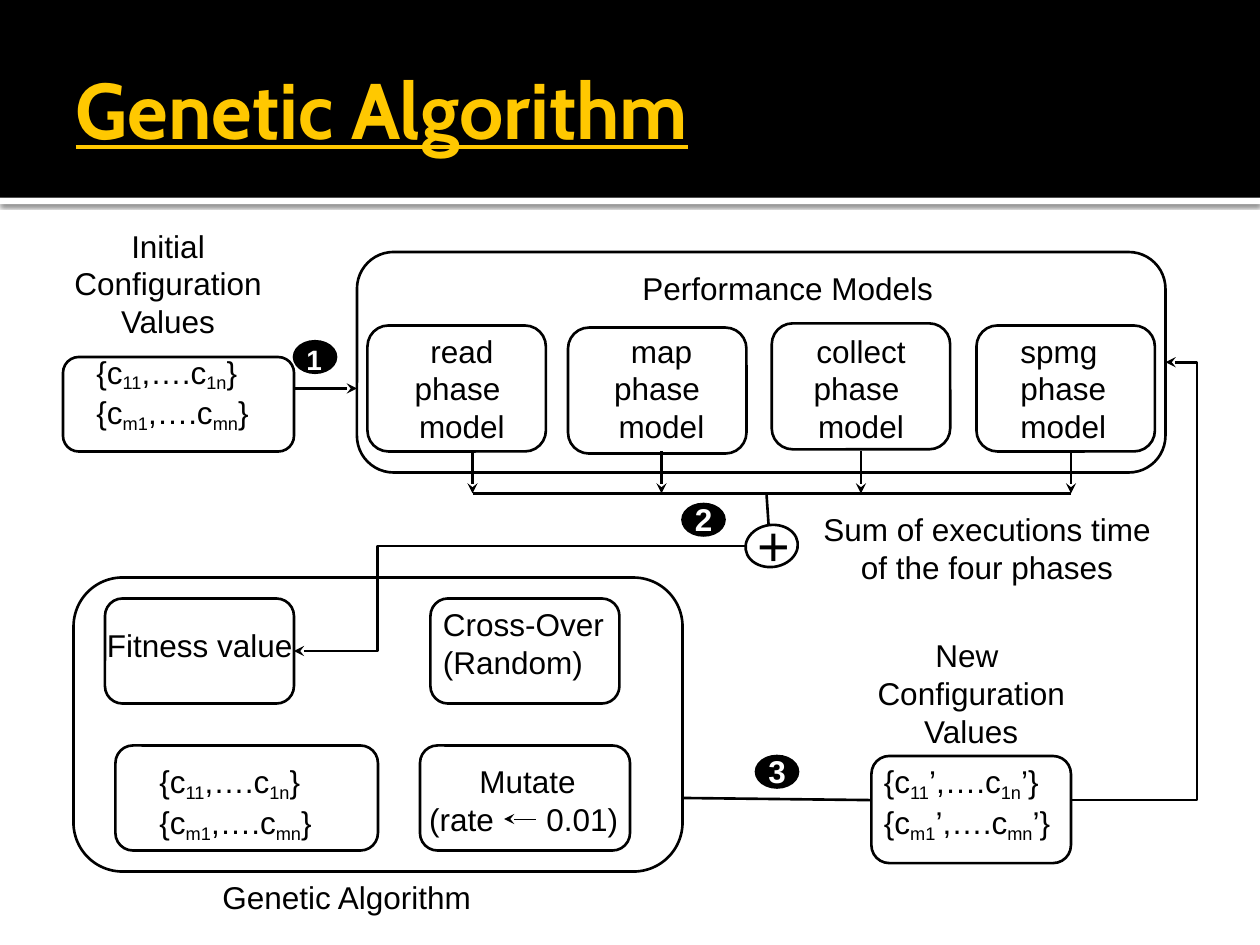
from dataclasses import dataclass

import lxml.etree
import pptx
import pptx.dml.color
import pptx.enum.shapes
import pptx.enum.text
import pptx.oxml
import pptx.oxml.ns
import pptx.util

COLUMNS, ROWS = 120, 90
BLACK, WHITE, GOLD = "000000", "FFFFFF", "FFC800"
SHAPES = pptx.enum.shapes.MSO_SHAPE
CONNECTORS = pptx.enum.shapes.MSO_CONNECTOR
ALIGN = pptx.enum.text.PP_ALIGN
qn = pptx.oxml.ns.qn

deck = pptx.Presentation()
deck.slide_width = pptx.util.Inches(10)
deck.slide_height = pptx.util.Inches(7.5)
slide = deck.slides.add_slide(deck.slide_layouts[5])


@dataclass
class Box:
    """A filled shape, placed in grid columns and rows."""
    col: float
    row: float
    width: float
    height: float
    kind: int = SHAPES.ROUNDED_RECTANGLE
    fill: str = WHITE
    border: str | None = BLACK
    rotation: float = 0


@dataclass
class Label:
    """Text whose paragraphs hold subscripts between bars."""
    col: float
    row: float
    width: float
    height: float
    paragraphs: list[str]
    align: int = ALIGN.LEFT
    size: float = 18
    color: str = BLACK
    bold: bool = False


@dataclass
class Link:
    """A line; bend is the share of its width at which an elbow turns."""
    start: tuple[float, float]
    end: tuple[float, float]
    arrow: bool = True
    weight: float = 1.5
    bend: float | None = None


def rgb(code: str):
    return pptx.dml.color.RGBColor.from_string(code)


def x(col: float) -> int:
    return round(deck.slide_width * col / COLUMNS)


def y(row: float) -> int:
    return round(deck.slide_height * row / ROWS)


def draw_box(box: Box):
    shape = slide.shapes.add_shape(
        box.kind, x(box.col), y(box.row), x(box.width), y(box.height))
    shape.rotation = box.rotation
    shape.shadow.inherit = False
    shape.fill.solid()
    shape.fill.fore_color.rgb = rgb(box.fill)
    if box.border:
        shape.line.color.rgb = rgb(box.border)
        shape.line.width = pptx.util.Pt(1.5)
    else:
        shape.line.fill.background()
    return shape


def draw_label(label: Label):
    shape = slide.shapes.add_textbox(
        x(label.col), y(label.row), x(label.width), y(label.height))
    frame = shape.text_frame
    frame.word_wrap = True
    frame.auto_size = pptx.enum.text.MSO_AUTO_SIZE.SHAPE_TO_FIT_TEXT
    for index, content in enumerate(label.paragraphs):
        paragraph = frame.add_paragraph() if index else frame.paragraphs[0]
        paragraph.alignment = label.align
        for part, words in enumerate(content.split("|")):
            run = paragraph.add_run()
            run.text = words
            run.font.name = "Arial"
            run.font.size = pptx.util.Pt(label.size)
            run.font.bold = label.bold
            run.font.color.rgb = rgb(label.color)
            if part % 2:
                run.font._element.set("baseline", "-18000")
    return frame


def draw_link(link: Link) -> None:
    kind = CONNECTORS.STRAIGHT if link.bend is None else CONNECTORS.ELBOW
    (col, row), (end_col, end_row) = link.start, link.end
    connector = slide.shapes.add_connector(
        kind, x(col), y(row), x(end_col), y(end_row))
    connector.line.color.rgb = rgb(BLACK)
    connector.line.width = pptx.util.Pt(link.weight)
    properties = connector._element.spPr
    if link.bend is not None:
        guides = properties.find(qn("a:prstGeom")).get_or_add_avLst()
        lxml.etree.SubElement(guides, qn("a:gd"), name="adj1",
                              fmla=f"val {round(link.bend * 100000)}")
    if link.arrow:
        lxml.etree.SubElement(properties.find(qn("a:ln")), qn("a:tailEnd"), type="stealth")
    lxml.etree.SubElement(properties, qn("a:effectLst"))


def draw_header() -> None:
    rule = draw_box(Box(0, 18.84, COLUMNS, 0.6, SHAPES.RECTANGLE, WHITE, None))
    effects = rule._element.spPr.find(qn("a:effectLst"))
    effects.append(pptx.oxml.parse_xml(
        '<a:outerShdw xmlns:a="http://schemas.openxmlformats.org/drawingml/2006/main"'
        ' blurRad="31750" dist="10160" dir="5400000"><a:srgbClr val="000000">'
        '<a:alpha val="60000"/></a:srgbClr></a:outerShdw>'))
    draw_box(Box(0, 0, COLUMNS, 18.84, SHAPES.RECTANGLE, BLACK, None))
    title = slide.shapes.title
    slide.shapes._spTree.append(title._element)
    title.left, title.top, title.width, title.height = x(6), y(2), x(108), y(16.5)
    frame = title.text_frame
    frame.margin_right = pptx.util.Inches(0.05)
    frame.vertical_anchor = pptx.enum.text.MSO_ANCHOR.MIDDLE
    frame.paragraphs[0].alignment = ALIGN.LEFT
    run = frame.paragraphs[0].add_run()
    run.text = "Genetic Algorithm"
    run.font.name = "Cabin"
    run.font.size = pptx.util.Pt(45)
    run.font.bold = run.font.underline = True
    run.font.color.rgb = rgb(GOLD)


def configurations(prime: str = "") -> list[str]:
    return [f"{{c|{first}|{prime},….c|{last}|{prime}}}"
            for first, last in (("11", "1n"), ("m1", "mn"))]


def draw_mutation() -> None:
    frame = draw_label(Label(38, 72, 24, 8.5, ["Mutate", "(rate\t0.01)"], ALIGN.CENTER))
    frame.margin_left, frame.margin_right = pptx.util.Inches(0.24), pptx.util.Inches(0.2)
    rate = frame.paragraphs[1]
    rate.alignment = ALIGN.LEFT
    stops = lxml.etree.SubElement(rate._p.get_or_add_pPr(), qn("a:tabLst"))
    lxml.etree.SubElement(stops, qn("a:tab"), pos=str(pptx.util.Inches(0.93)), algn="l")
    draw_link(Link((51, 78), (48, 78), weight=0.25))


# Box column, box row, arrow column, label column, alignment
PHASES = {
    "read": (35, 31, 45, 38, ALIGN.CENTER),
    "map": (54.1, 31.2, 63, 57, ALIGN.CENTER),
    "collect": (73.5, 30.8, 82, 76, ALIGN.CENTER),
    "spmg": (93, 31, 102, 96, ALIGN.LEFT),
}
BOXES = [
    Box(7, 55, 58, 28), Box(10, 57, 18, 10), Box(41, 57, 18, 10),
    Box(11, 71, 25, 10), Box(40, 71, 20, 10),
    Box(6, 34, 22, 9), Box(34, 24, 77, 21), Box(83, 72, 19, 10.2),
    Box(71, 50, 5, 4, SHAPES.OVAL, rotation=352.3),
]
LINKS = [
    Link((28, 37), (34, 37)),
    Link((45, 47), (102, 47), arrow=False),
    Link((73, 47), (73.2, 50), arrow=False),
    Link((71, 52), (28, 62), bend=0.815),
    Link((65, 76), (83, 76.2), arrow=False),
    Link((102, 76.2), (111, 34.5), bend=1.333),
]
LABELS = [
    Label(60, 25, 36, 4.8, ["Performance Models"]),
    Label(76, 48, 36, 8.5, ["Sum of executions time of the four phases"], ALIGN.CENTER),
    Label(80, 60, 25, 12, ["New ", "Configuration Values"], ALIGN.CENTER),
    Label(9, 59, 21, 4.8, ["Fitness value"]),
    Label(41, 57, 22, 8.5, ["Cross-Over (Random)"]),
    Label(20, 83, 27, 4.8, ["Genetic Algorithm"]),
    Label(2, 21, 28, 12, ["Initial Configuration Values"], ALIGN.CENTER),
    Label(14, 72, 20, 8.5, configurations()),
    Label(8, 33, 23, 8.5, configurations()),
    Label(83, 72, 21, 8.5, configurations("’")),
    Label(71, 48, 5, 7.7, ["+"], size=32),
]
# Badge column and row, number row, number width, number size
STEPS = [(28, 32.5, 32, 3, 16), (65, 48, 47, 4, 18), (72, 72, 71, 4, 18)]

draw_header()
for box in BOXES:
    draw_box(box)
for phase, (col, row, arrow_col, label_col, align) in PHASES.items():
    draw_box(Box(col, row, 17, 12))
    draw_link(Link((arrow_col, 43), (arrow_col, 47)))
    second = "phase " if align == ALIGN.CENTER else "phase"
    draw_label(Label(label_col, 31, 12, 12, [phase, second, "model"], align))
for link in LINKS:
    draw_link(link)
for label in LABELS:
    draw_label(label)
draw_mutation()
for number, (col, row, text_row, width, size) in enumerate(STEPS, 1):
    draw_box(Box(col, row, 4, 3, SHAPES.OVAL, BLACK))
    draw_label(Label(col, text_row, width, 5, [str(number)], size=size, color=WHITE, bold=True))

deck.save("out.pptx")
